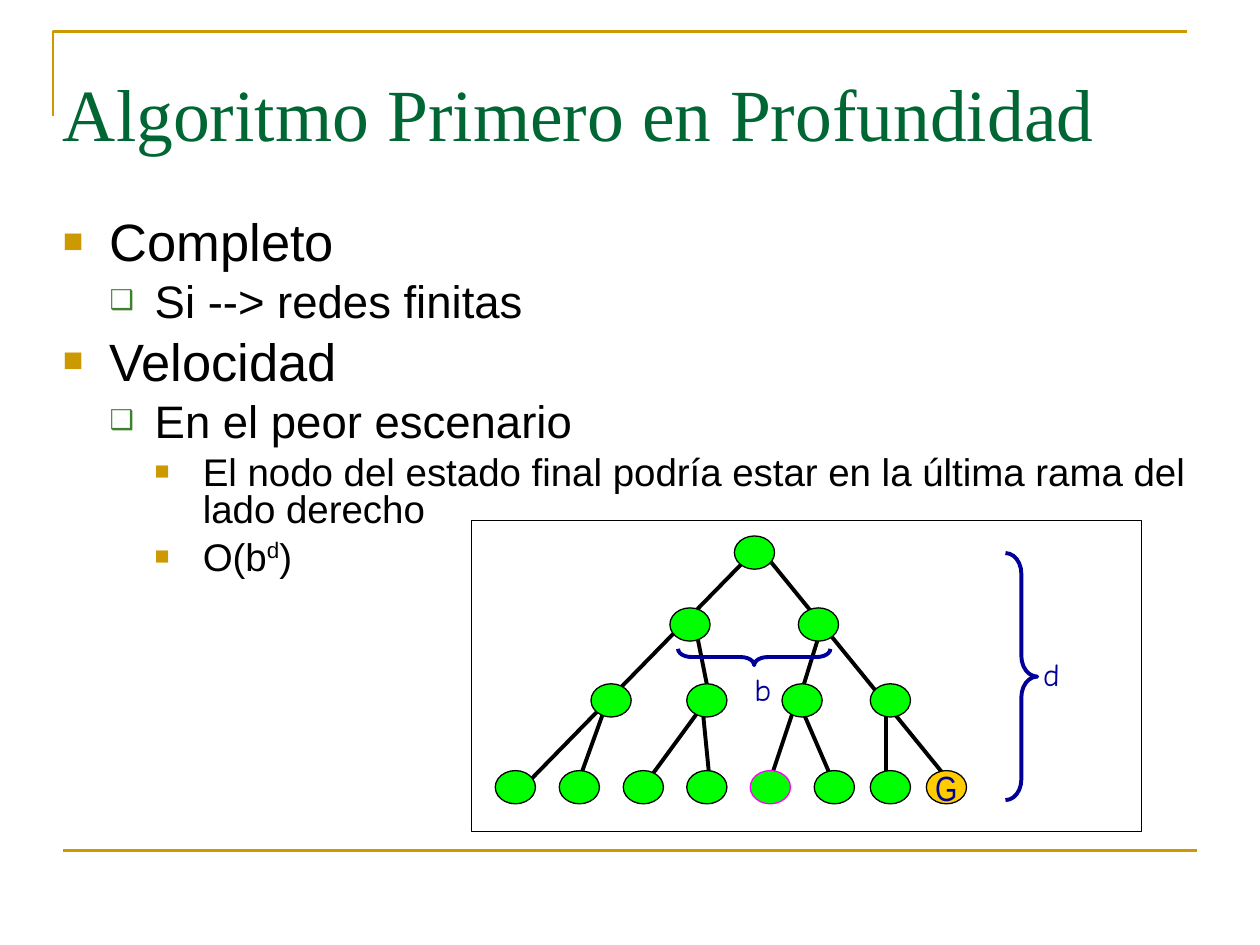
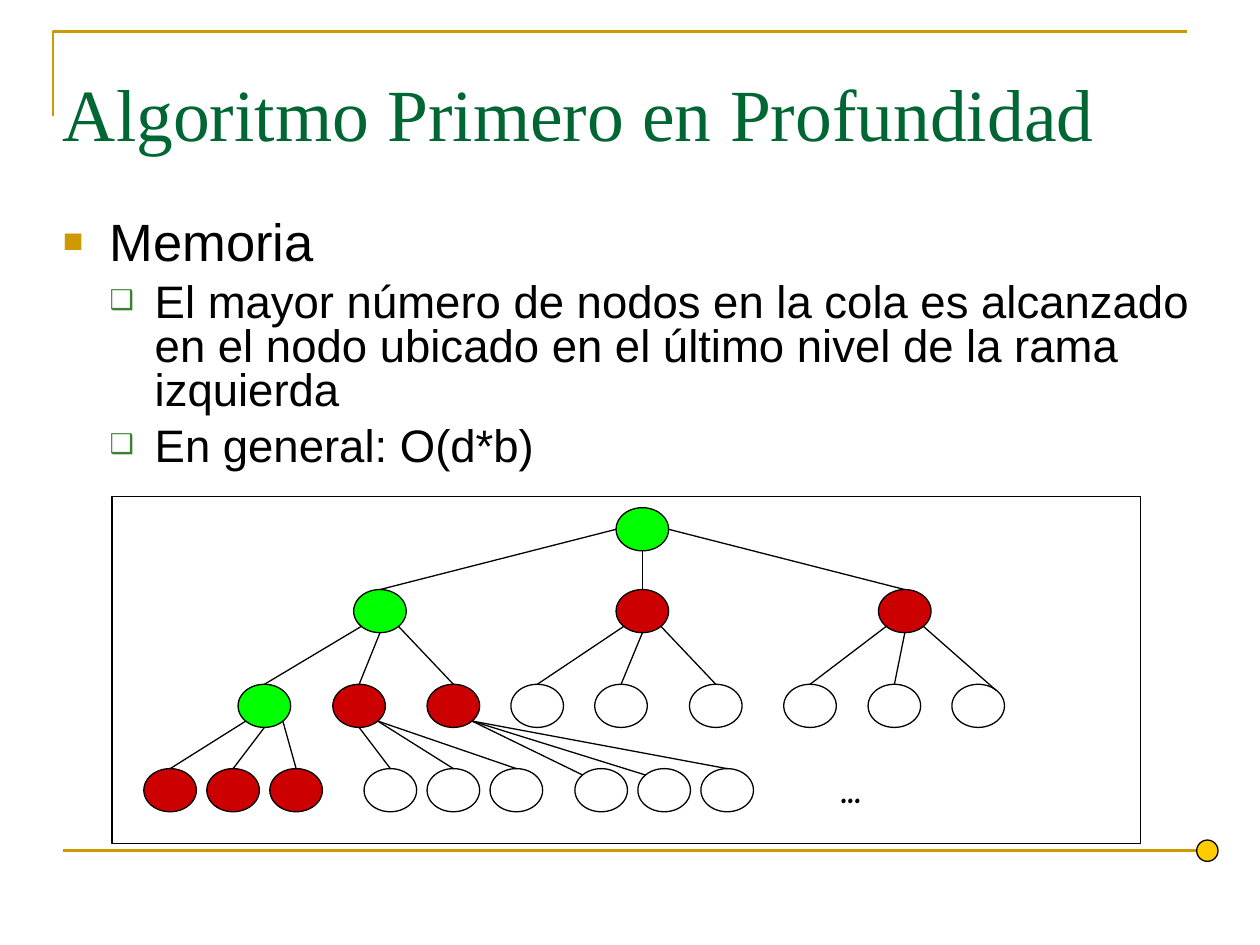
import dataclasses

import lxml.etree
import pptx
import pptx.dml.color
import pptx.enum.shapes
import pptx.enum.text
import pptx.oxml.ns
import pptx.util

Cm = pptx.util.Cm
Pt = pptx.util.Pt
SHAPE = pptx.enum.shapes.MSO_SHAPE
ALIGN = pptx.enum.text.PP_ALIGN
ANCHOR = pptx.enum.text.MSO_ANCHOR


@dataclasses.dataclass(frozen=True)
class Theme:
    gold: str = "CC9900"
    title: str = "006633"
    hollow_bullet: str = "3B812F"
    ink: str = "000000"
    paper: str = "FFFFFF"
    visited: str = "00FF00"
    queued: str = "CC0000"
    goal: str = "FFCC00"
    current: str = "FF00FF"
    label: str = "000099"
    title_font: str = "Times New Roman"
    body_font: str = "Arial"
    goal_font: str = "Arial Narrow"
    label_font: str = "Comic Neue"
    title_size: int = 42
    label_size: int = 18
    goal_size: int = 20
    dots_size: int = 22
    thin: float = 0.75
    rule: float = 1.5
    thick: float = 2.25


@dataclasses.dataclass(frozen=True)
class Level:
    size: int
    before: float
    margin: float
    hanging: float
    bullet: str
    bullet_color: str
    bullet_percent: int


THEME = Theme()
LEVELS = [
    Level(30, 7.5, 0.94, 0.94, "■", THEME.gold, 65),
    Level(26, 6.5, 1.85, 0.91, "❑", THEME.hollow_bullet, 60),
    Level(22, 5.5, 2.82, 0.97, "■", THEME.gold, 65),
]

# Boxes: left, top, width, height in centimetres
TITLE_BOX = (1.27, 0.66, 22.86, 3.38)
BODY_BOX = (1.27, 4.45, 22.86, 12.57)
CORNER_BOX = (1.07, 0.64, 22.86, 1.7)
DEPTH_TREE_BOX = (9.5, 10.49, 13.51, 6.27)
MEMORY_TREE_BOX = (2.26, 10.01, 20.73, 6.99)
FOOT_Y = 17.15


def rgb(color):
    return pptx.dml.color.RGBColor.from_string(color)


def set_line(item, color, width):
    item.line.color.rgb = rgb(color)
    item.line.width = Pt(width)


def set_font(font, name, size, color, bold=False):
    font.name, font.size, font.bold = name, Pt(size), bold
    font.color.rgb = rgb(color)


def add_form(shapes, kind, box, fill=None, color=THEME.ink, width=THEME.thin):
    form = shapes.add_shape(kind, *map(Cm, box))
    form.shadow.inherit = False
    if fill:
        form.fill.solid()
        form.fill.fore_color.rgb = rgb(fill)
    else:
        form.fill.background()
    set_line(form, color, width)
    return form


def add_node(shapes, center, size, fill, color=THEME.ink):
    (x, y), (width, height) = center, size
    box = (x - width / 2, y - height / 2, width, height)
    return add_form(shapes, SHAPE.OVAL, box, fill, color)


def add_line(shapes, start, end, color=THEME.ink, width=THEME.thin):
    line = shapes.add_connector(pptx.enum.shapes.MSO_CONNECTOR.STRAIGHT,
                                *map(Cm, (*start, *end)))
    set_line(line, color, width)
    lxml.etree.SubElement(line._element.spPr, pptx.oxml.ns.qn("a:effectLst"))


def add_label(shapes, box, text, size=THEME.label_size, color=THEME.label, bold=False):
    frame = shapes.add_textbox(*map(Cm, box)).text_frame
    frame.word_wrap = True
    para = frame.paragraphs[0]
    para.text = text
    set_font(para.font, THEME.label_font, size, color, bold)


def add_plain_frame(page, box):
    frame = page.shapes.add_textbox(*map(Cm, box)).text_frame
    frame.word_wrap = True
    frame.margin_left = frame.margin_right = 0
    frame.margin_top = frame.margin_bottom = 0
    return frame


def add_backdrop(page):
    # Corner rule at the top and straight rule at the foot
    left, top, width, height = CORNER_BOX
    builder = page.shapes.build_freeform(Cm(left), Cm(top + height))
    builder.add_line_segments([(Cm(left), Cm(top)), (Cm(left + width), Cm(top))],
                              close=False)
    corner = builder.convert_to_shape()
    corner.shadow.inherit = False
    corner.fill.background()
    set_line(corner, THEME.gold, THEME.rule)
    add_line(page.shapes, (1.27, FOOT_Y), (24.13, FOOT_Y), THEME.gold, THEME.rule)


def add_title(page, text):
    frame = add_plain_frame(page, TITLE_BOX)
    frame.vertical_anchor = ANCHOR.MIDDLE
    para = frame.paragraphs[0]
    para.text = text
    para.line_spacing = 0.95
    set_font(para.font, THEME.title_font, THEME.title_size, THEME.title)


def set_bullet(para, level):
    properties = para._p.get_or_add_pPr()
    properties.set("marL", str(Cm(level.margin)))
    properties.set("indent", str(-Cm(level.hanging)))

    def add(parent, tag, **attributes):
        return lxml.etree.SubElement(parent, pptx.oxml.ns.qn(tag), **attributes)

    add(add(properties, "a:buClr"), "a:srgbClr", val=level.bullet_color)
    add(properties, "a:buSzPct", val=str(level.bullet_percent * 1000))
    add(properties, "a:buFont", typeface=THEME.body_font)
    add(properties, "a:buChar", char=level.bullet)


def add_body(page, items):
    """Each item is a level and its spans; every second span is superscript."""
    frame = add_plain_frame(page, BODY_BOX)
    for index, (depth, *spans) in enumerate(items):
        para = frame.add_paragraph() if index else frame.paragraphs[0]
        level = LEVELS[depth]
        para.level = depth
        para.line_spacing = 0.81
        para.space_before = Pt(level.before)
        set_font(para.font, THEME.body_font, level.size, THEME.ink)
        set_bullet(para, level)
        for position, text in enumerate(spans):
            span = para.add_run()
            span.text = text
            if position % 2:
                span._r.get_or_add_rPr().set("baseline", "33000")


def add_page(deck, title, items):
    page = deck.slides.add_slide(deck.slide_layouts[6])
    add_backdrop(page)
    add_title(page, title)
    add_body(page, items)
    return page


def add_depth_tree(shapes, box):
    left, top = box[:2]

    def at(x, y, *size):
        return (left + x, top + y, *size)

    add_form(shapes, SHAPE.RECTANGLE, box, THEME.paper)

    # Branches, from the leaves up
    branches = [
        (8.36, 3.51, 8.36, 5.31), (6.6, 3.66, 7.39, 5.49),
        (6.6, 3.51, 5.94, 5.49), (4.65, 3.66, 4.83, 5.49),
        (4.83, 3.51, 3.38, 5.49), (2.74, 3.66, 2.08, 5.49),
        (7.09, 2.06, 6.58, 3.71), (4.5, 2.06, 4.83, 3.71),
        (5.79, 0.53, 0.97, 5.46), (5.79, 0.53, 9.8, 5.46),
    ]
    for x1, y1, x2, y2 in branches:
        add_line(shapes, at(x1, y1), at(x2, y2), width=THEME.thick)

    # Nodes by row; the goal is the last leaf
    rows = [
        (0.65, [5.71]),
        (2.1, [4.41, 7]),
        (3.63, [2.82, 4.75, 6.67, 8.45]),
        (5.38, [0.89, 2.18, 3.47, 4.75, 6.03, 7.32, 8.45, 9.58]),
    ]
    nodes = [[add_node(shapes, at(x, y), (0.81, 0.67), THEME.visited) for x in row]
             for y, row in rows]
    leaves = nodes[-1]
    leaves[4].line.color.rgb = rgb(THEME.current)
    goal = leaves[-1]
    goal.fill.fore_color.rgb = rgb(THEME.goal)
    frame = goal.text_frame
    frame.word_wrap = False
    frame.vertical_anchor = ANCHOR.MIDDLE
    para = frame.paragraphs[0]
    para.text = "G"
    para.alignment = ALIGN.CENTER
    set_font(para.font, THEME.goal_font, THEME.goal_size, THEME.label)

    # Braces for depth and branching factor
    braces = [
        (SHAPE.RIGHT_BRACE, at(10.77, 0.66, 0.64, 4.98), 0, 0.65, "d", at(11.28, 2.59, 0.84, 1.02)),
        (SHAPE.LEFT_BRACE, at(5.54, 1.22, 0.33, 3.07), 270, 0.83, "b", at(5.46, 2.9, 0.84, 1.02)),
    ]
    for kind, place, turn, curve, text, label_box in braces:
        brace = add_form(shapes, kind, place, color=THEME.label, width=THEME.thick)
        brace.rotation = turn
        brace.adjustments[0] = curve
        add_label(shapes, label_box, text)


def add_memory_tree(shapes, box):
    left, top = box[:2]
    node_size = (1.06, 0.87)
    add_form(shapes, SHAPE.RECTANGLE, box, THEME.paper)

    # Rows: height, centres, number of visited and of queued nodes
    rows = [
        (0.66, [10.69], 1, 0),
        (2.31, [5.4, 10.69, 15.98], 1, 2),
        (4.22, [3.07, 4.98, 6.88, 8.57, 10.26, 12.17, 14.07, 15.77, 17.46], 1, 2),
        (5.92, [1.17, 2.44, 3.71, 5.61, 6.88, 8.15, 9.86, 11.13, 12.4], 0, 3),
    ]
    for y, centers, visited, queued in rows:
        fills = [THEME.visited] * visited + [THEME.queued] * queued
        fills += [THEME.paper] * (len(centers) - len(fills))
        for x, fill in zip(centers, fills):
            add_node(shapes, (left + x, top + y), node_size, fill)

    # Points on a node's edge, in half sizes from its centre
    edge = {"left": (-1, 0), "right": (1, 0), "top": (0, -1), "bottom": (0, 1),
            "low left": (-0.7, 0.7), "low right": (0.7, 0.7),
            "high left": (-0.7, -0.7), "high right": (0.7, -0.7)}

    def touch(row, index, side):
        y, centers = rows[row][:2]
        across, down = edge[side]
        return (left + centers[index] + across * node_size[0] / 2,
                top + y + down * node_size[1] / 2)

    # Families: row and index of the parent, sides left, sides reached
    fan = ["low left", "bottom", "low right"]
    tops = ["top"] * 3
    families = [
        (0, 0, ["left", "bottom", "right"], tops),
        (1, 0, fan, tops),
        (1, 1, fan, tops),
        (1, 2, fan, ["top", "top", "high right"]),
        (2, 0, fan, tops),
        (2, 1, ["bottom", "low right", "low right"], tops),
        (2, 2, ["low right"] * 3, ["high left", "high left", "top"]),
    ]
    for row, parent, exits, entries in families:
        for child, (leave, reach) in enumerate(zip(exits, entries), 3 * parent):
            add_line(shapes, touch(row, parent, leave), touch(row + 1, child, reach))

    # Sign that the row goes on
    add_label(shapes, (left + 14.43, top + 5.28, 1.6, 1.19), "...",
              THEME.dots_size, THEME.ink, bold=True)


def main():
    deck = pptx.Presentation()
    deck.slide_width, deck.slide_height = Cm(25.4), Cm(19.05)
    title = "Algoritmo Primero en Profundidad"

    # Completeness and speed
    page = add_page(deck, title, [
        (0, "Completo"),
        (1, "Si --> redes finitas"),
        (0, "Velocidad"),
        (1, "En el peor escenario"),
        (2, "El nodo del estado final podría estar en la última rama del lado derecho"),
        (2, "O(b", "d", ")"),
    ])
    add_depth_tree(page.shapes, DEPTH_TREE_BOX)

    # Memory
    page = add_page(deck, title, [
        (0, "Memoria"),
        (1, "El mayor número de nodos en la cola es alcanzado en el nodo ubicado "
            "en el último nivel de la rama izquierda"),
        (1, "En general: O(d*b)"),
    ])
    add_memory_tree(page.shapes.add_group_shape().shapes, MEMORY_TREE_BOX)
    add_node(page.shapes, (24.34, FOOT_Y), (0.43, 0.43), THEME.goal)

    deck.save("out.pptx")


if __name__ == "__main__":
    main()
